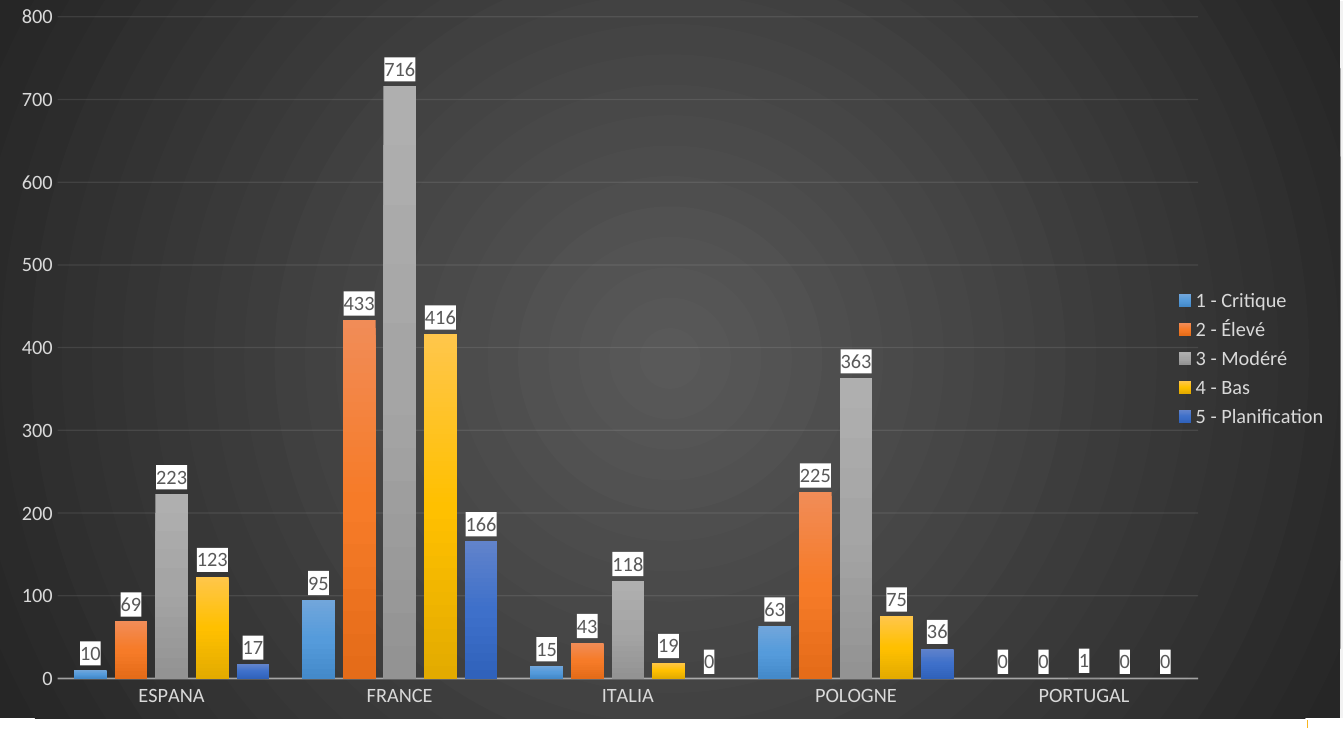
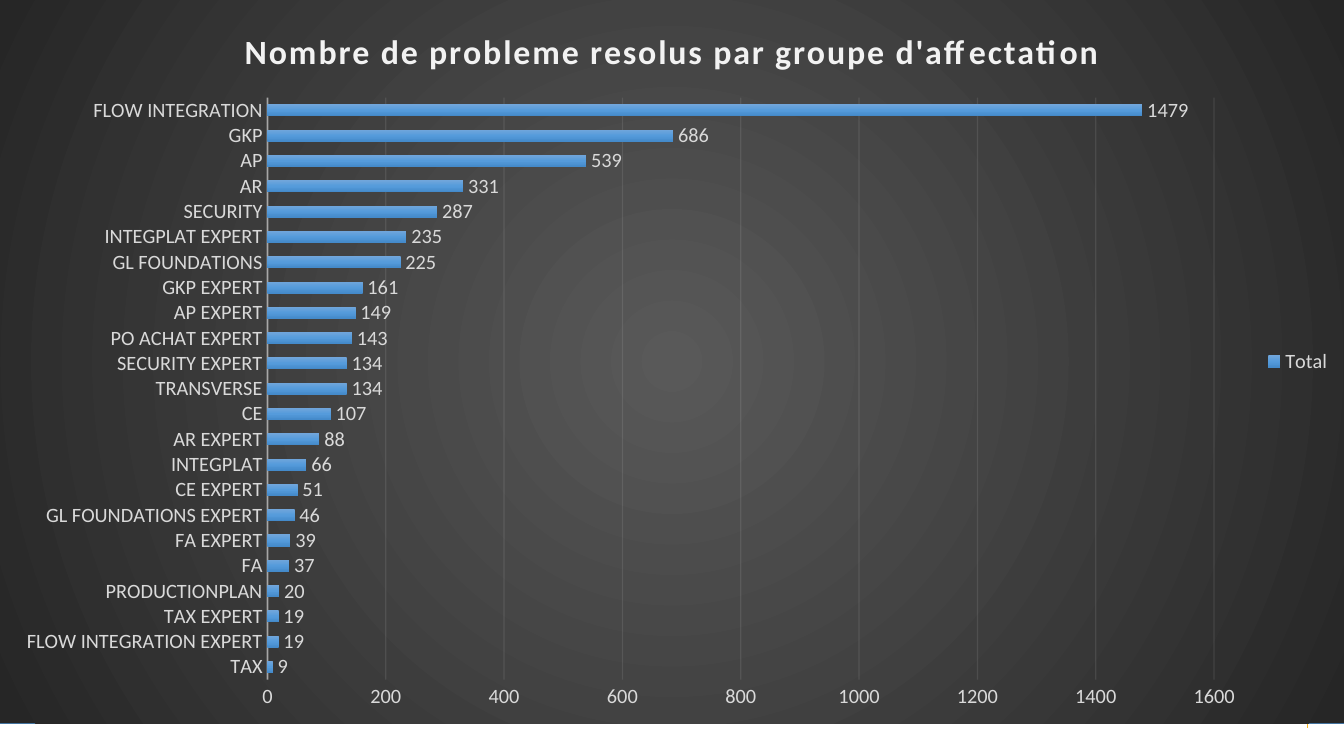
from lxml import etree
from pptx import Presentation
from pptx.chart.data import CategoryChartData
from pptx.dml.color import RGBColor
from pptx.enum.chart import XL_CHART_TYPE as ChartType
from pptx.enum.chart import XL_LABEL_POSITION as LabelPosition
from pptx.enum.chart import XL_LEGEND_POSITION as LegendPosition
from pptx.enum.chart import XL_TICK_MARK as TickMark
from pptx.enum.shapes import MSO_CONNECTOR as Connector
from pptx.enum.shapes import MSO_SHAPE as Shape
from pptx.oxml import parse_xml
from pptx.oxml.ns import nsdecls, qn
from pptx.util import Inches, Pt

FONT = "Calibri"
WIDTH, HEIGHT = 11.02, 6.2
PALE, WHITE, LIGHT_TEXT, DARK_TEXT = "F2F2F2", "FFFFFF", "D9D9D9", "595959"
ACCENT, PANEL_EDGE = "F8B621", "43739E"
BACKDROP = ("595959", "262626")
BLUE = ("71A6DB", "559BDB", "448ACA")
ORANGE = ("F18C57", "F67B28", "E56C19")
GREY = ("AFAFAF", "A5A5A5", "939393")
YELLOW = ("FFC64B", "FFC000", "E3AB00")
NAVY = ("6183CB", "3E70CA", "3062BB")
DOWNWARD = '<a:lin ang="5400000" scaled="0"/>'
FROM_CENTRE = ('<a:path path="circle"><a:fillToRect l="50000" t="50000" '
               'r="50000" b="50000"/></a:path>')

COUNTRIES = ["ESPANA", "FRANCE", "ITALIA", "POLOGNE", "PORTUGAL"]
PRIORITIES = [
    ("1 - Critique", [10, 95, 15, 63, 0], BLUE),
    ("2 - Élevé", [69, 433, 43, 225, 0], ORANGE),
    ("3 - Modéré", [223, 716, 118, 363, 1], GREY),
    ("4 - Bas", [123, 416, 19, 75, 0], YELLOW),
    ("5 - Planification", [17, 166, 0, 36, 0], NAVY),
]
GROUPS = {
    "TAX": 9, "FLOW INTEGRATION EXPERT": 19, "TAX EXPERT": 19,
    "PRODUCTIONPLAN": 20, "FA": 37, "FA EXPERT": 39,
    "GL FOUNDATIONS EXPERT": 46, "CE EXPERT": 51, "INTEGPLAT": 66,
    "AR EXPERT": 88, "CE": 107, "TRANSVERSE": 134, "SECURITY EXPERT": 134,
    "PO ACHAT EXPERT": 143, "AP EXPERT": 149, "GKP EXPERT": 161,
    "GL FOUNDATIONS": 225, "INTEGPLAT EXPERT": 235, "SECURITY": 287,
    "AR": 331, "AP": 539, "GKP": 686, "FLOW INTEGRATION": 1479,
}


def rgb(value):
    return RGBColor.from_string(value)


def style_font(font, size, color, bold=False):
    font.name, font.size, font.bold = FONT, Pt(size), bold
    font.color.rgb = rgb(color)


def style_line(line, color, width):
    line.color.rgb = rgb(color)
    line.width = Pt(width)


def gradient(colors, direction):
    last = len(colors) - 1
    stops = "".join(
        f'<a:gs pos="{100000 * index // last}"><a:srgbClr val="{color}"/></a:gs>'
        for index, color in enumerate(colors))
    return (f'<a:gradFill rotWithShape="1"><a:gsLst>{stops}</a:gsLst>'
            f'{direction}</a:gradFill>')


def chart_properties(fill):
    return parse_xml(f'<c:spPr {nsdecls("c", "a")}>{fill}'
                     '<a:ln><a:noFill/></a:ln></c:spPr>')


def add_accent_line(slide):
    line = slide.shapes.add_connector(
        Connector.STRAIGHT, Inches(10.72), Inches(3.42), Inches(10.72), Inches(5.97))
    style_line(line.line, ACCENT, 0.82)
    etree.SubElement(line._element.spPr, qn("a:effectLst"))


def add_panel(slide, height, fill, edge):
    panel = slide.shapes.add_shape(Shape.RECTANGLE, 0, 0, Inches(WIDTH), Inches(height))
    panel.shadow.inherit = False
    if fill:
        panel.fill.solid()
        panel.fill.fore_color.rgb = rgb(fill)
    else:
        panel.fill.background()
    style_line(panel.line, edge, 1)


def style_translucent_line(line_format, owner, width, opacity):
    """Draw a pale line whose XML sits below owner."""
    style_line(line_format.line, PALE, width)
    color = owner.find(f'{qn("c:spPr")}//{qn("a:srgbClr")}')
    etree.SubElement(color, qn("a:alpha")).set("val", str(opacity * 1000))


def style_axes(chart, maximum, step):
    category, value = chart.category_axis, chart.value_axis
    for axis in (category, value):
        axis.major_tick_mark = axis.minor_tick_mark = TickMark.NONE
        style_font(axis.tick_labels.font, 12, LIGHT_TEXT)
    style_translucent_line(category.format, category._element, 1, 54)
    value.minimum_scale, value.maximum_scale, value.major_unit = 0, maximum, step
    value.format.line.fill.background()
    value.has_major_gridlines = True
    grid = value._element.find(qn("c:majorGridlines"))
    style_translucent_line(value.major_gridlines.format, grid, 0.75, 10)


def style_series(series, colors, label_color, label_fill):
    series.invert_if_negative = False
    element = series._element
    properties = element.get_or_add_spPr()
    element.replace(properties, chart_properties(gradient(colors, DOWNWARD)))
    labels = series.data_labels
    labels.show_value = True
    labels.position = LabelPosition.OUTSIDE_END
    style_font(labels.font, 12, label_color)
    if label_fill:
        text = labels._element.find(qn("c:txPr"))
        text.addprevious(chart_properties(
            f'<a:solidFill><a:srgbClr val="{label_fill}"/></a:solidFill>'))


def add_bar_chart(slide, kind, box, categories, rows, gap, overlap,
                  maximum, step, label_color, label_fill=None):
    data = CategoryChartData()
    data.categories = categories
    for name, values, _ in rows:
        data.add_series(name, values)
    chart = slide.shapes.add_chart(kind, *map(Inches, box), data).chart
    style_font(chart.font, 10, "000000")
    chart.has_title = False
    chart.has_legend = True
    chart.legend.position = LegendPosition.RIGHT
    chart.legend.include_in_layout = False
    style_font(chart.legend.font, 12, LIGHT_TEXT)
    plot = chart.plots[0]
    plot.vary_by_categories = False
    plot.gap_width, plot.overlap = gap, overlap
    style_axes(chart, maximum, step)
    for series, (_, _, colors) in zip(plot.series, rows):
        style_series(series, colors, label_color, label_fill)
    chart_element = chart._chartSpace.find(qn("c:chart"))
    chart_element.addnext(chart_properties(gradient(BACKDROP, FROM_CENTRE)))
    return chart


def set_plot_layout(chart, left, top, width, height):
    """Place the inner plot area, in fractions of the chart."""
    plot_area = chart._chartSpace.find(f'{qn("c:chart")}/{qn("c:plotArea")}')
    for old in plot_area.findall(qn("c:layout")):
        plot_area.remove(old)
    plot_area.insert(0, parse_xml(
        f'<c:layout {nsdecls("c")}><c:manualLayout><c:layoutTarget val="inner"/>'
        '<c:xMode val="edge"/><c:yMode val="edge"/>'
        f'<c:x val="{left}"/><c:y val="{top}"/><c:w val="{width}"/><c:h val="{height}"/>'
        '</c:manualLayout></c:layout>'))


def set_chart_title(chart, text):
    chart.has_title = True
    chart.chart_title.include_in_layout = False
    run = chart.chart_title.text_frame.paragraphs[0].add_run()
    run.text = text
    style_font(run.font, 20, PALE, bold=True)
    run.font._element.set("spc", "100")


def add_slide(presentation, panel_height):
    slide = presentation.slides.add_slide(presentation.slide_layouts[6])
    add_accent_line(slide)
    add_panel(slide, panel_height, PALE, WHITE)
    return slide


def add_priority_slide(presentation):
    slide = add_slide(presentation, 5.9)
    chart = add_bar_chart(
        slide, ChartType.COLUMN_CLUSTERED, (0, -0.01, 10.99, 5.9), COUNTRIES,
        PRIORITIES, 100, -24, 800, 100, DARK_TEXT, WHITE)
    set_plot_layout(chart, 0.043, 0.025, 0.851, 0.92)


def add_group_slide(presentation):
    slide = add_slide(presentation, 5.93)
    add_panel(slide, 5.93, None, PANEL_EDGE)
    chart = add_bar_chart(
        slide, ChartType.BAR_CLUSTERED, (0, 0, WIDTH, 5.93), list(GROUPS),
        [("Total", list(GROUPS.values()), BLUE)], 115, -20, 1600, 200, LIGHT_TEXT)
    set_chart_title(chart, "Nombre de probleme resolus par groupe d'affectation")


def main():
    presentation = Presentation()
    presentation.slide_width, presentation.slide_height = Inches(WIDTH), Inches(HEIGHT)
    add_priority_slide(presentation)
    add_group_slide(presentation)
    presentation.save("out.pptx")


if __name__ == "__main__":
    main()
